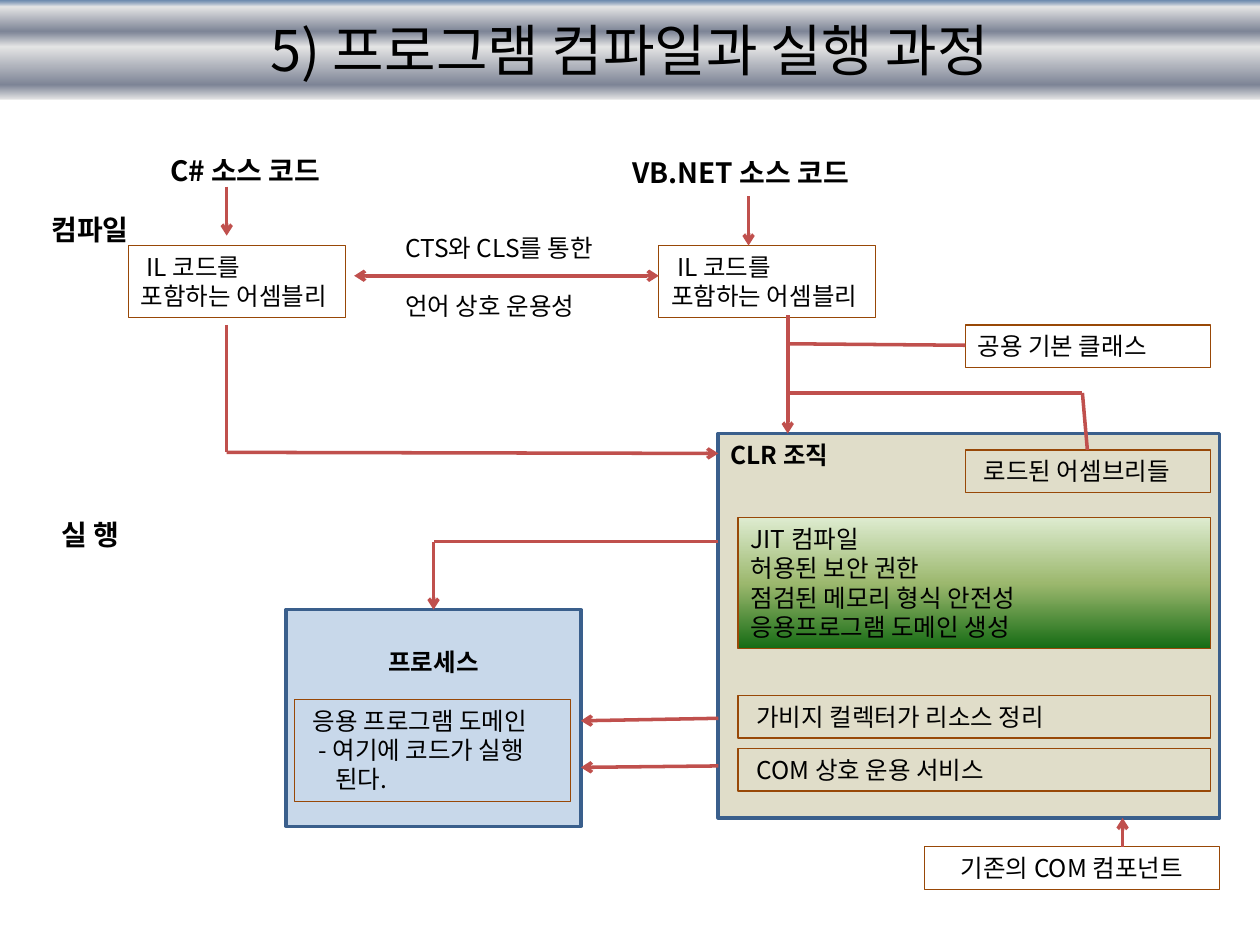
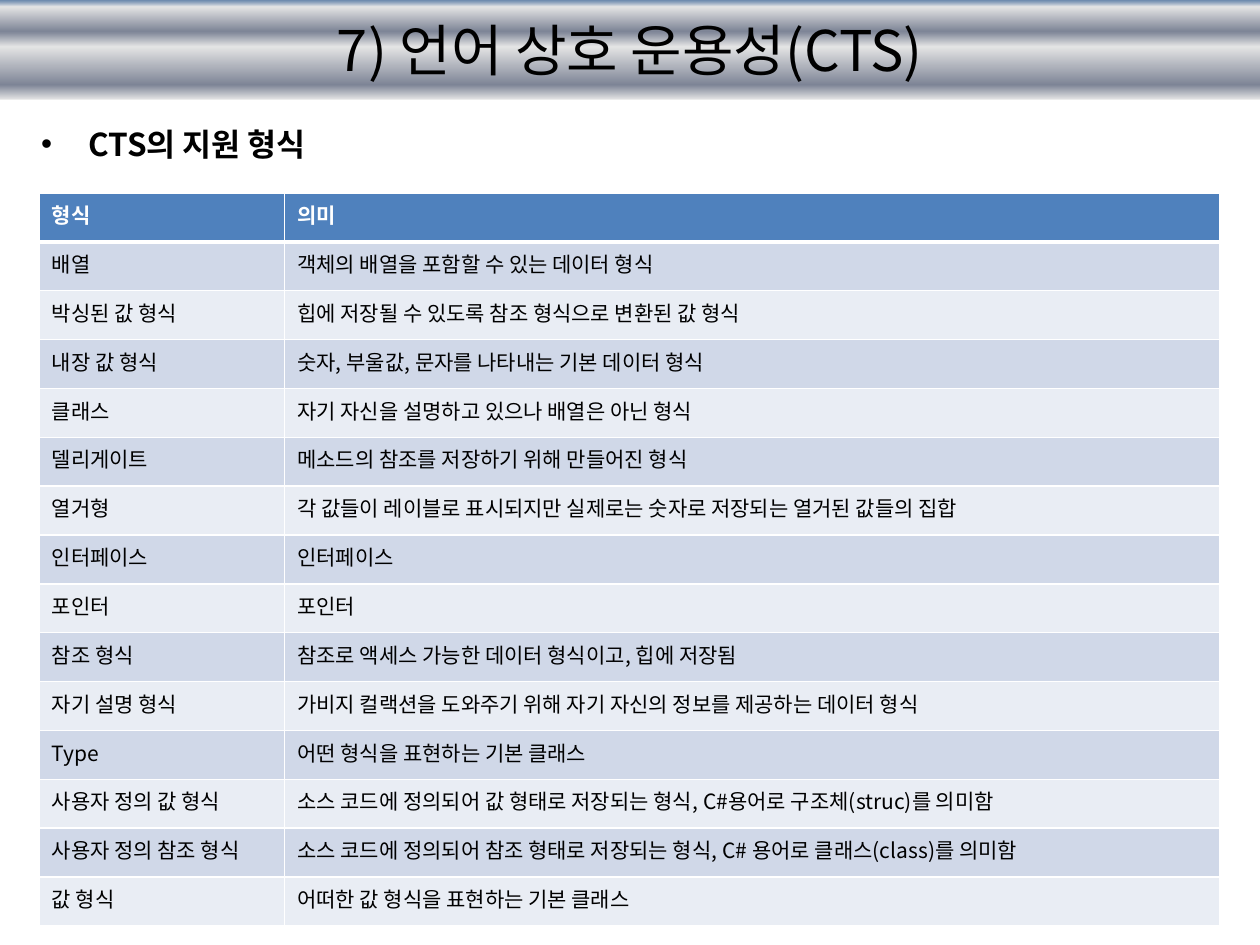
from itertools import pairwise

from lxml import etree
from pptx import Presentation
from pptx.dml.color import RGBColor
from pptx.enum.shapes import MSO_CONNECTOR, MSO_SHAPE
from pptx.enum.text import MSO_ANCHOR as Anchor, PP_ALIGN as Align
from pptx.oxml.ns import qn
from pptx.util import Cm, Pt

# ---- Shared look
FONT = "Noto Sans CJK KR"
COLORS = {
    "text": "000000", "white": "FFFFFF", "arrow": "C0504D",
    "box_line": "984807", "panel_line": "3A5F8C",
    "clr": "C4BD97", "process": "95B3D7",
    "band_edge": "376092", "band_light": "E6E6E6", "band_dark": "7D8496",
    "jit_top": "DDEBCF", "jit_mid": "9CB86E", "jit_end": "156B13",
    "header": "4F81BD", "row_odd": "D0D8E8", "row_even": "E9EDF4",
}
# Gradient stops: position %, colour, opacity %
BAND_STOPS = [(0, "band_edge", 77), (7, "band_light", 100), (32, "band_dark", 100),
              (47, "band_light", 100), (85, "band_dark", 100), (100, "band_light", 100)]
JIT_STOPS = [(0, "jit_top", 100), (50, "jit_mid", 100), (100, "jit_end", 100)]

# ---- Slide 1: lengths in cm, boxes as left, top, width, height
FLOW_TITLE = "5) 프로그램 컴파일과 실행 과정"
# Panels: text, place, fill, alignment, space above the text
PANELS = [
    ("CLR 조직", (14.48, 8.74, 10.11, 7.75), "clr", Align.LEFT, 0.13),
    ("프로세스", (5.77, 12.29, 5.94, 4.37), "process", Align.CENTER, 0.76),
]
IL_TEXT = "IL 코드를 포함하는 어셈블리"
JIT_TEXT = "JIT 컴파일\n허용된 보안 권한\n점검된 메모리 형식 안전성\n응용프로그램 도메인 생성"
DOMAIN_TEXT = "응용 프로그램 도메인\n- 여기에 코드가 실행\n된다."
# Boxes: text, place, first-line indent of each paragraph
BOXES = [
    (IL_TEXT, (2.59, 4.95, 4.37, 1.45), [0.12]),
    (IL_TEXT, (13.28, 4.95, 4.37, 1.45), [0.12]),
    ("공용 기본 클래스", (19.46, 6.55, 4.95, 0.86), [0]),
    ("로드된 어셈브리들", (19.46, 9.07, 4.95, 0.86), [0.12]),
    ("가비지 컬렉터가 리소스 정리", (14.88, 14.02, 9.53, 0.86), [0.12]),
    ("COM 상호 운용 서비스", (14.88, 15.09, 9.53, 0.86), [0.12]),
    (DOMAIN_TEXT, (5.94, 14.1, 5.56, 2.06), [0.12, 0.23, 0.57]),
]
JIT_PLACE = (14.88, 10.44, 9.53, 2.64)
COMPONENT = ("기존의 COM 컴포넌트", (18.64, 17.07, 5.94, 0.86))
HEADINGS = [
    ("실 행", (0.99, 10.31, 1.98, 0.94)),
    ("컴파일", (0.79, 4.17, 2.77, 0.94)),
    ("C# 소스 코드", (3.18, 2.97, 3.96, 0.94)),
    ("VB.NET 소스 코드", (12.5, 3.02, 5.36, 0.94)),
]
INTEROP = ("CTS와 CLS를 통한\n언어 상호 운용성", (7.92, 4.57, 4.78, 2.06))
# Paths: points, arrow at start, arrow at end
PATHS = [
    ([(14.48, 14.48), (11.71, 14.53)], False, True),
    ([(14.48, 15.44), (11.71, 15.47)], False, True),
    ([(22.63, 17.07), (22.63, 16.49)], False, True),
    ([(14.48, 10.92), (8.74, 10.92), (8.74, 12.29)], False, True),
    ([(4.57, 6.55), (4.57, 9.12), (14.48, 9.14)], False, True),
    ([(15.88, 6.35), (15.88, 8.74)], False, True),
    ([(19.46, 6.96), (15.88, 6.93)], False, False),
    ([(21.92, 9.07), (21.82, 7.92), (15.88, 7.92)], False, False),
    ([(7.14, 5.56), (13.28, 5.56)], True, True),
    ([(15.09, 3.96), (15.09, 4.95)], False, True),
    ([(4.57, 3.76), (4.57, 4.75)], False, True),
]

# ---- Slide 2
TYPES_TITLE = "7) 언어 상호 운용성(CTS)"
TYPES_LEAD = ("CTS의 지원 형식", (0.58, 2.39, 24.41, 16.08))
TYPES = [
    ("형식", "의미"),
    ("배열", "객체의 배열을 포함할 수 있는 데이터 형식"),
    ("박싱된 값 형식", "힙에 저장될 수 있도록 참조 형식으로 변환된 값 형식"),
    ("내장 값 형식", "숫자, 부울값, 문자를 나타내는 기본 데이터 형식"),
    ("클래스", "자기 자신을 설명하고 있으나 배열은 아닌 형식"),
    ("델리게이트", "메소드의 참조를 저장하기 위해 만들어진 형식"),
    ("열거형", "각 값들이 레이블로 표시되지만 실제로는 숫자로 저장되는 열거된 값들의 집합"),
    ("인터페이스", "인터페이스"),
    ("포인터", "포인터"),
    ("참조 형식", "참조로 액세스 가능한 데이터 형식이고, 힙에 저장됨"),
    ("자기 설명 형식", "가비지 컬랙션을 도와주기 위해 자기 자신의 정보를 제공하는 데이터 형식"),
    ("Type", "어떤 형식을 표현하는 기본 클래스"),
    ("사용자 정의 값 형식", "소스 코드에 정의되어 값 형태로 저장되는 형식, C#용어로 구조체(struc)를 의미함"),
    ("사용자 정의 참조 형식", "소스 코드에 정의되어 참조 형태로 저장되는 형식, C# 용어로 클래스(class)를 의미함"),
    ("값 형식", "어떠한 값 형식을 표현하는 기본 클래스"),
]
TABLE_PLACE = (0.79, 3.89, 23.8, 14.78)
TYPE_COLUMN = 4.95


def rgb(name):
    return RGBColor.from_string(COLORS[name])


def add_child(parent, tag, **attributes):
    return etree.SubElement(parent, qn(tag), {key: str(value) for key, value in attributes.items()})


def add_color(parent, name, opacity=100):
    color = add_child(parent, "a:srgbClr", val=COLORS[name])
    if opacity < 100:
        add_child(color, "a:alpha", val=opacity * 1000)


# ---- Text
def write(frame, text, size=14, bold=False, color="text", align=Align.LEFT):
    frame.text = text
    frame.word_wrap = True
    for para in frame.paragraphs:
        para.alignment = align
        for span in para.runs:
            span.font.size = Pt(size)
            span.font.bold = bold
            span.font.color.rgb = rgb(color)
            span.font.name = FONT
            add_child(span._r.get_or_add_rPr(), "a:ea", typeface=FONT)


def indent(para, first, left=0):
    properties = para._p.get_or_add_pPr()
    properties.set("marL", str(Cm(left)))
    properties.set("indent", str(Cm(first)))
    return properties


def add_label(page, text, place, **style):
    label = page.shapes.add_textbox(*map(Cm, place))
    write(label.text_frame, text, **style)
    return label


# ---- Shapes
def add_box(page, text, place, line="box_line", weight=0.75, anchor=Anchor.TOP, **style):
    box = page.shapes.add_shape(MSO_SHAPE.RECTANGLE, *map(Cm, place))
    box.shadow.inherit = False
    box.fill.background()
    if line:
        box.line.color.rgb = rgb(line)
        box.line.width = Pt(weight)
    else:
        box.line.fill.background()
    box.text_frame.vertical_anchor = anchor
    write(box.text_frame, text, **style)
    return box


def fill_gradient(box, stops):
    gradient = etree.Element(qn("a:gradFill"), rotWithShape="1")
    stop_list = add_child(gradient, "a:gsLst")
    for position, color, opacity in stops:
        add_color(add_child(stop_list, "a:gs", pos=position * 1000), color, opacity)
    add_child(gradient, "a:lin", ang=90 * 60000, scaled=0)
    properties = box._element.spPr
    properties.replace(properties.find(qn("a:noFill")), gradient)


def fill_translucent(box, color, opacity):
    properties = box._element.spPr
    solid = etree.Element(qn("a:solidFill"))
    add_color(solid, color, opacity)
    properties.replace(properties.find(qn("a:noFill")), solid)


def add_path(page, points, start_arrow, end_arrow):
    segments = list(pairwise(points))
    for number, (begin, end) in enumerate(segments):
        line = page.shapes.add_connector(MSO_CONNECTOR.STRAIGHT, *map(Cm, begin + end))
        line.line.color.rgb = rgb("arrow")
        line.line.width = Pt(2)
        properties = line._element.spPr
        outline = properties.find(qn("a:ln"))
        if start_arrow and number == 0:
            add_child(outline, "a:headEnd", type="arrow")
        if end_arrow and number == len(segments) - 1:
            add_child(outline, "a:tailEnd", type="arrow")
        add_child(properties, "a:effectLst")


def add_page(deck, title):
    page = deck.slides.add_slide(deck.slide_layouts[6])
    band = add_box(page, title, (0, 0, 25.4, 2), line=None, anchor=Anchor.MIDDLE,
                   size=32, align=Align.CENTER)
    fill_gradient(band, BAND_STOPS)
    return page


# ---- Slides
def build_flow(deck):
    page = add_page(deck, FLOW_TITLE)
    for text, place, fill, align, top in PANELS:
        panel = add_box(page, text, place, "panel_line", 2, bold=True, align=align)
        panel.text_frame.margin_top = Cm(top)
        fill_translucent(panel, fill, 51)
    for text, place, indents in BOXES:
        box = add_box(page, text, place)
        for para, first in zip(box.text_frame.paragraphs, indents):
            indent(para, first)
    fill_gradient(add_box(page, JIT_TEXT, JIT_PLACE), JIT_STOPS)
    add_box(page, *COMPONENT, align=Align.CENTER)
    for path in PATHS:
        add_path(page, *path)
    interop = add_label(page, *INTEROP)
    interop.text_frame.paragraphs[1].space_before = Pt(16.5)
    for text, place in HEADINGS:
        add_label(page, text, place, size=16, bold=True)


def style_cell(cell, row, text):
    header = row == 0
    write(cell.text_frame, text, size=12, bold=header, color="white" if header else "text")
    properties = cell._tc.get_or_add_tcPr()
    weights = {"L": 1, "R": 1, "T": 3 if row == 1 else 1, "B": 3 if header else 1}
    for side, weight in weights.items():
        border = add_child(properties, f"a:ln{side}", w=Pt(weight))
        add_color(add_child(border, "a:solidFill"), "white")
    cell.fill.solid()
    cell.fill.fore_color.rgb = rgb("header" if header else "row_odd" if row % 2 else "row_even")


def build_types(deck):
    page = add_page(deck, TYPES_TITLE)
    lead = add_label(page, *TYPES_LEAD, size=18, bold=True)
    bullet = indent(lead.text_frame.paragraphs[0], -0.95, 0.95)
    add_child(bullet, "a:buFont", typeface="Arial")
    add_child(bullet, "a:buChar", char="•")

    left, top, width, height = TABLE_PLACE
    table = page.shapes.add_table(len(TYPES), 2, *map(Cm, TABLE_PLACE)).table
    table.columns[0].width = Cm(TYPE_COLUMN)
    table.columns[1].width = Cm(width - TYPE_COLUMN)
    for row, texts in enumerate(TYPES):
        table.rows[row].height = Cm(height / len(TYPES))
        for column, text in enumerate(texts):
            style_cell(table.cell(row, column), row, text)


def main():
    deck = Presentation()
    deck.slide_width, deck.slide_height = Cm(25.4), Cm(19.05)
    build_flow(deck)
    build_types(deck)
    deck.save("out.pptx")


if __name__ == "__main__":
    main()
